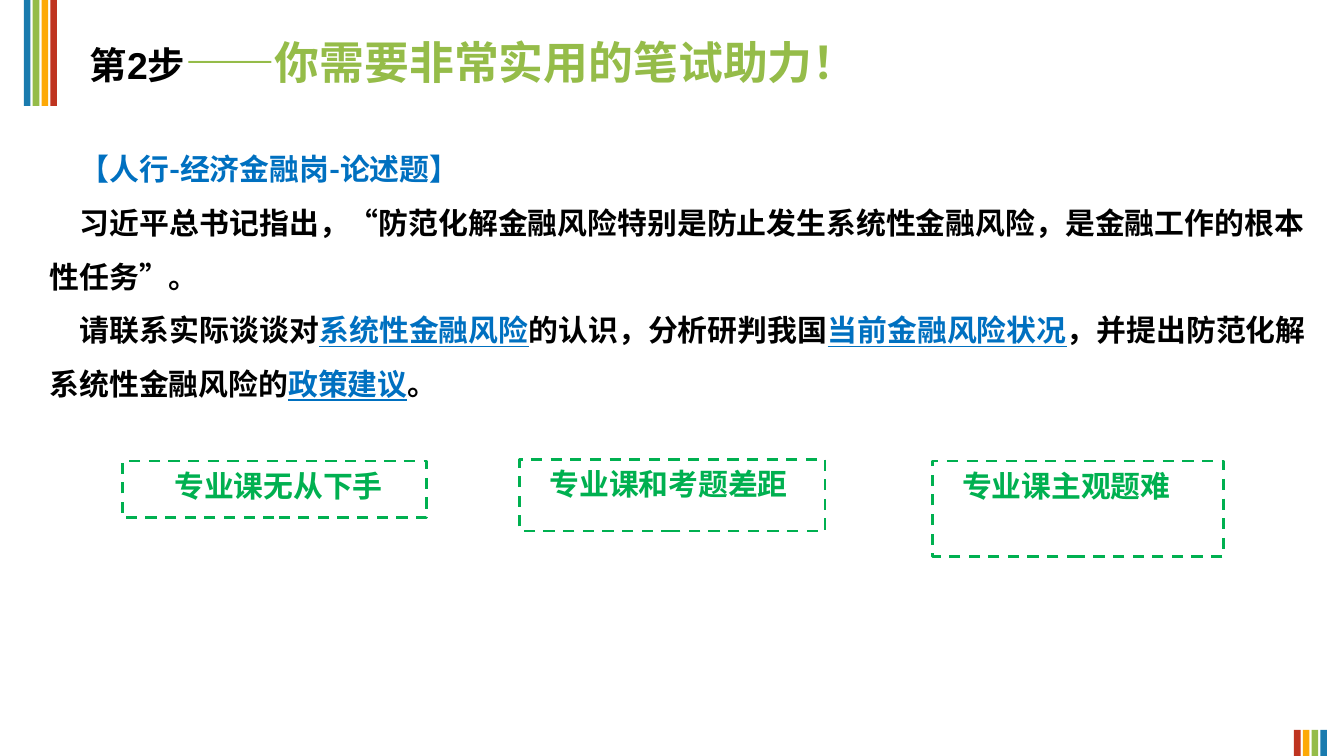
from pptx import Presentation
from pptx.dml.color import RGBColor
from pptx.enum.dml import MSO_LINE
from pptx.enum.shapes import MSO_SHAPE
from pptx.enum.text import MSO_ANCHOR, PP_ALIGN
from pptx.oxml.ns import qn
from pptx.util import Pt

RECTANGLE = MSO_SHAPE.RECTANGLE
DASH = MSO_LINE.DASH
TOP = MSO_ANCHOR.TOP
LEFT, CENTER, JUSTIFY = PP_ALIGN.LEFT, PP_ALIGN.CENTER, PP_ALIGN.JUSTIFY

COLORS = {
    "teal": "1A7BAE", "lime": "95BC49", "amber": "FDA907", "brick": "BF3420",
    "black": "000000", "blue": "0070C0", "green": "00B050",
}
STRIPES = ("teal", "lime", "amber", "brick")
CJK_FONT = "Noto Sans CJK SC"

PLAIN = {"size": Pt(16), "name": "Arial", "bold": True, "color": "black"}
KEYWORD = PLAIN | {"color": "blue", "underline": True}
HEADING = PLAIN | {"name": "Noto Sans CJK JP", "color": "blue"}
STEP = PLAIN | {"size": Pt(20)}
TITLE = PLAIN | {"size": Pt(24), "color": "lime"}
WORRY = PLAIN | {"name": CJK_FONT, "color": "green"}

QUESTION = [
    [("【人行-经济金融岗-论述题】", HEADING)],
    [("习近平总书记指出，“防范化解金融风险特别是防止发生系统性金融风险，"
      "是金融工作的根本性任务”。", PLAIN)],
    [("请联系实际谈谈对", PLAIN), ("系统性金融风险", KEYWORD),
     ("的认识，分析研判我国", PLAIN), ("当前金融风险状况", KEYWORD),
     ("，并提出防范化解系统性金融风险的", PLAIN), ("政策建议", KEYWORD),
     ("。", PLAIN)],
]
# text, box, alignment, left margin
WORRIES = [
    ("专业课无从下手", (65.5, 247, 163, 30.5), CENTER, 11.6),
    ("专业课和考题差距", (278.5, 246, 163.5, 38.5), LEFT, 16),
    ("专业课主观题难", (499.5, 247, 156, 51), LEFT, 16),
]


def rgb(name):
    return RGBColor.from_string(COLORS[name])


def add_span(para, text, style):
    span = para.add_run()
    span.text = text
    for key, value in style.items():
        if key == "color":
            span.font.color.rgb = rgb(value)
        else:
            setattr(span.font, key, value)
    latin = span.font._element.find(qn("a:latin"))
    east_asian = latin.makeelement(qn("a:ea"), {"typeface": CJK_FONT})
    latin.addnext(east_asian)


def add_stripes(page, box, names):
    left, top, width, height = box
    pitch = width / (len(names) - 0.25)
    for index, name in enumerate(names):
        stripe = page.shapes.add_shape(
            RECTANGLE, Pt(left + index * pitch), Pt(top), Pt(pitch * 0.75), Pt(height))
        stripe.shadow.inherit = False
        stripe.fill.solid()
        stripe.fill.fore_color.rgb = rgb(name)
        stripe.line.fill.background()


def add_text(page, box, paragraphs, align=LEFT, indent=0):
    frame = page.shapes.add_textbox(*map(Pt, box)).text_frame
    frame.word_wrap = True
    for index, spans in enumerate(paragraphs):
        para = frame.add_paragraph() if index else frame.paragraphs[0]
        para.alignment = align
        para.line_spacing = 1.5
        if indent:
            properties = para._p.get_or_add_pPr()
            properties.set("marL", "0")
            properties.set("indent", str(Pt(indent)))
        for text, style in spans:
            add_span(para, text, style)


def add_worry(page, box, text, align, margin):
    shape = page.shapes.add_shape(RECTANGLE, *map(Pt, box))
    shape.shadow.inherit = False
    shape.fill.background()
    shape.line.color.rgb = rgb("green")
    shape.line.width = Pt(1.5)
    shape.line.dash_style = DASH
    frame = shape.text_frame
    frame.word_wrap = True
    frame.vertical_anchor = TOP
    frame.margin_left = Pt(margin)
    para = frame.paragraphs[0]
    para.alignment = align
    add_span(para, text, WORRY)


def main():
    deck = Presentation()
    deck.slide_width, deck.slide_height = Pt(720), Pt(405)
    page = deck.slides.add_slide(deck.slide_layouts[6])
    add_stripes(page, (12.8, 0, 17.7, 56.8), STRIPES)
    add_stripes(page, (693.2, 391, 17.7, 14), STRIPES[::-1])
    add_text(page, (41, 0.7, 475, 47),
             [[("第2步", STEP), ("——你需要非常实用的笔试助力！", TITLE)]])
    add_text(page, (19.7, 67.7, 687, 174), QUESTION, JUSTIFY, 16)
    for text, box, align, margin in WORRIES:
        add_worry(page, box, text, align, margin)
    deck.save("out.pptx")


if __name__ == "__main__":
    main()
